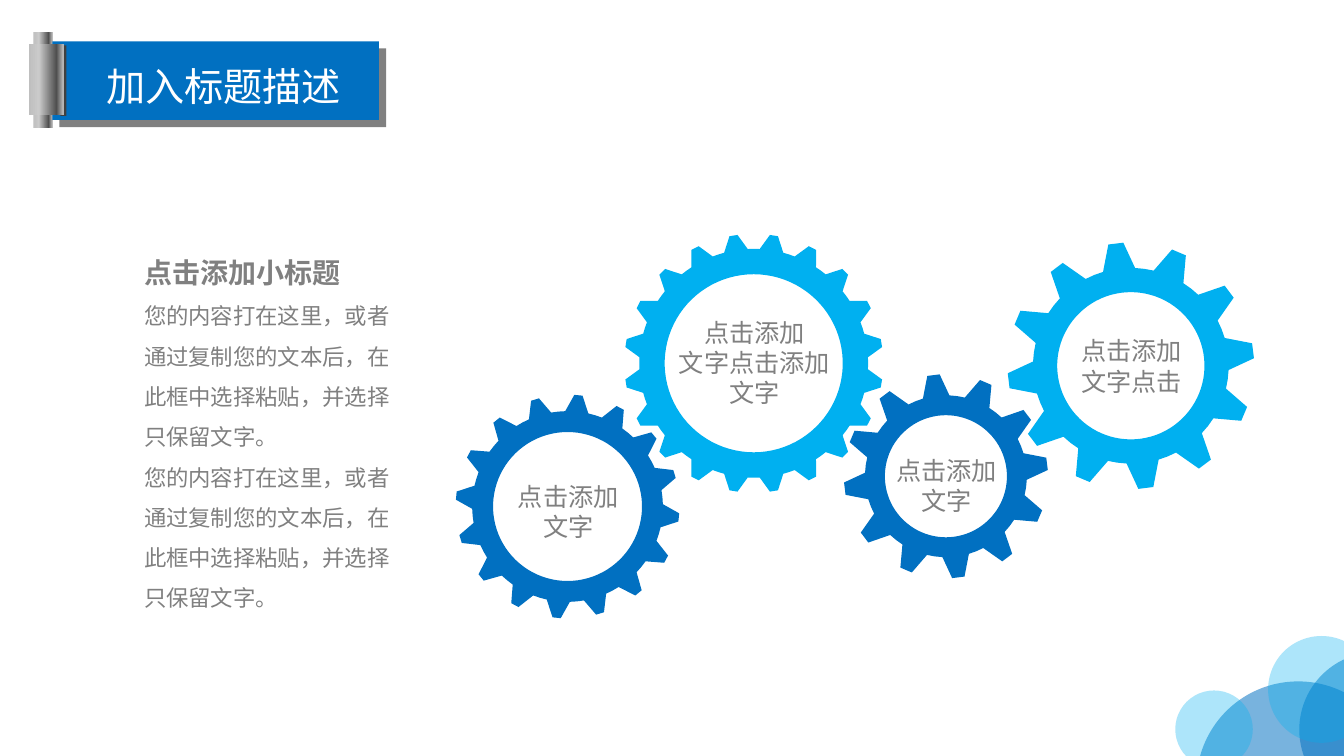
from dataclasses import dataclass
from math import cos, radians, sin

from pptx import Presentation
from pptx.dml.color import RGBColor
from pptx.enum.shapes import MSO_SHAPE
from pptx.enum.text import MSO_ANCHOR, MSO_AUTO_SIZE, PP_ALIGN
from pptx.oxml.ns import qn
from pptx.oxml.xmlchemy import OxmlElement
from pptx.util import Pt

RECT, OVAL = MSO_SHAPE.RECTANGLE, MSO_SHAPE.OVAL
LEFT, CENTER = PP_ALIGN.LEFT, PP_ALIGN.CENTER
TOP, MIDDLE = MSO_ANCHOR.TOP, MSO_ANCHOR.MIDDLE
GROW = MSO_AUTO_SIZE.SHAPE_TO_FIT_TEXT

FONT = "Noto Sans CJK SC"
BLUE, SKY, GREY, WHITE = "0170C1", "00B0F0", "808080", "FFFFFF"
METAL = [(0, "BFBFBF"), (29, "CACACA"), (80, "4F4F4F"), (100, "BFBFBF")]


@dataclass
class Circle:
    x: float
    y: float
    size: float
    color: str
    opacity: int


@dataclass
class Bar:
    x: float
    y: float
    w: float
    h: float
    color: str = ""  # empty means brushed metal


@dataclass
class Line:
    text: str
    size: float
    color: str = GREY
    bold: bool = False


@dataclass
class Gear:
    cx: float
    cy: float
    tip: float  # radii of tooth tips, tooth roots and hole
    root: float
    hole: float
    teeth: int
    phase: float  # angles in degrees, clockwise from the top
    tip_half: float
    root_half: float
    color: str
    label: list[str]
    label_w: float
    label_dy: float


def rgb(color: str) -> RGBColor:
    return RGBColor.from_string(color)


def paint(sp, color: str, opacity: int = 100) -> None:
    sp.shadow.inherit = False
    sp.line.fill.background()
    sp.fill.solid()
    sp.fill.fore_color.rgb = rgb(color)
    if opacity < 100:
        alpha = OxmlElement("a:alpha")
        alpha.set("val", str(opacity * 1000))
        sp.fill._xPr.find(".//" + qn("a:srgbClr")).append(alpha)


def paint_metal(sp) -> None:
    sp.shadow.inherit = False
    sp.line.fill.background()
    sp.fill.gradient()
    sp.fill.gradient_angle = 0
    stops = sp.fill._xPr.find(".//" + qn("a:gsLst"))
    for old in list(stops):
        stops.remove(old)
    for pos, color in METAL:
        gs, clr = OxmlElement("a:gs"), OxmlElement("a:srgbClr")
        gs.set("pos", str(pos * 1000))
        clr.set("val", color)
        gs.append(clr)
        stops.append(gs)


def add_bar(shapes, bar: Bar) -> None:
    sp = shapes.add_shape(RECT, Pt(bar.x), Pt(bar.y), Pt(bar.w), Pt(bar.h))
    if bar.color:
        paint(sp, bar.color)
    else:
        paint_metal(sp)


def add_text(s, x: float, y: float, w: float, h: float, lines: list[Line],
             align=CENTER, anchor=TOP, spacing: float = 1.0,
             inset: float = 7.2) -> None:
    tf = s.shapes.add_textbox(Pt(x), Pt(y), Pt(w), Pt(h)).text_frame
    tf.word_wrap = True
    tf.auto_size = GROW
    tf.vertical_anchor = anchor
    tf.margin_left = tf.margin_right = Pt(inset)
    tf.margin_top = tf.margin_bottom = Pt(3.6)
    for i, line in enumerate(lines):
        p = tf.add_paragraph() if i else tf.paragraphs[0]
        p.alignment = align
        p.line_spacing = spacing
        r = p.add_run()
        r.text = line.text
        r.font.size = Pt(line.size)
        r.font.bold = line.bold
        r.font.color.rgb = rgb(line.color)
        r.font.name = FONT
        ea = OxmlElement("a:ea")
        ea.set("typeface", FONT)
        r.font._element.append(ea)


def add_gear(s, gear: Gear) -> None:
    def at(radius: float, angle: float) -> tuple[int, int]:
        a = radians(angle)
        return (Pt(gear.cx + radius * sin(a)), Pt(gear.cy - radius * cos(a)))

    step = 360 / gear.teeth
    rim = []
    for i in range(gear.teeth):
        a = gear.phase + i * step
        rim += [at(gear.root, a - gear.root_half), at(gear.tip, a - gear.tip_half),
                at(gear.tip, a + gear.tip_half), at(gear.root, a + gear.root_half),
                at(gear.root, a + step / 2)]
    hole = [at(gear.hole, -a) for a in range(0, 360, 4)]
    fb = s.shapes.build_freeform(*rim[0])
    fb.add_line_segments(rim[1:], close=True)
    fb.move_to(*hole[0])
    fb.add_line_segments(hole[1:], close=True)
    paint(fb.convert_to_shape(), gear.color)

    h = 7.9 + 21.6 * len(gear.label)
    add_text(s, gear.cx + 0.6 - gear.label_w / 2, gear.cy + gear.label_dy - h / 2,
             gear.label_w, h, [Line(t, 18) for t in gear.label], anchor=MIDDLE)


CIRCLES = [
    Circle(854.6, 486.7, 145.4, BLUE, 53),
    Circle(928.1, 465.8, 110.9, BLUE, 53),
    Circle(905.8, 454.3, 76.3, SKY, 32),
    Circle(839.5, 493.2, 55.4, SKY, 32),
]
BANNER = [
    Bar(23.8, 23, 13.7, 68.4),  # rod
    Bar(42.5, 34.6, 233.3, 56.2, GREY),
    Bar(37.4, 29.5, 233.3, 56.2, BLUE),
    Bar(43.2, 32.4, 4.3, 50.4, "404040"),
    Bar(20.9, 31.7, 24.5, 50.4),  # roller
]
GEARS = [
    Gear(538.4, 259.5, 92.4, 81.7, 63.6, 20, 9, 1.8, 6, SKY,
         ["点击添加", "文字点击添加", "文字"], 125.3, -0.7),
    Gear(675.7, 340.2, 72.9, 57.8, 43.6, 12, -7, 3.5, 9.5, BLUE,
         ["点击添加", "文字"], 88.6, 6.5),
    Gear(405.4, 361.8, 79.9, 68.1, 53.2, 16, 5.6, 2.1, 7, BLUE,
         ["点击添加", "文字"], 88.6, 3.6),
    Gear(807.8, 261.3, 88.1, 69.9, 52.6, 12, -7, 3.5, 9.5, SKY,
         ["点击添加", "文字点击"], 125.3, 0),
]
BODY = "您的内容打在这里，或者通过复制您的文本后，在此框中选择粘贴，并选择只保留文字。"


def main() -> None:
    prs = Presentation()
    prs.slide_width, prs.slide_height = Pt(960), Pt(540)
    s = prs.slides.add_slide(prs.slide_layouts[6])

    # Corner circles
    for c in CIRCLES:
        sp = s.shapes.add_shape(OVAL, Pt(c.x), Pt(c.y), Pt(c.size), Pt(c.size))
        paint(sp, c.color, c.opacity)

    # Title banner
    banner = s.shapes.add_group_shape()
    for bar in BANNER:
        add_bar(banner.shapes, bar)
    add_text(s, 41, 41, 237.6, 39.6, [Line("加入标题描述", 28, WHITE)], inset=5)

    # Left column
    add_text(s, 95.8, 167, 203.8, 276.5,
             [Line("点击添加小标题", 20, bold=True), Line(BODY, 16), Line(BODY, 16)],
             align=LEFT, spacing=1.5)

    # Gears with labels
    for gear in GEARS:
        add_gear(s, gear)

    prs.save("out.pptx")


if __name__ == "__main__":
    main()
